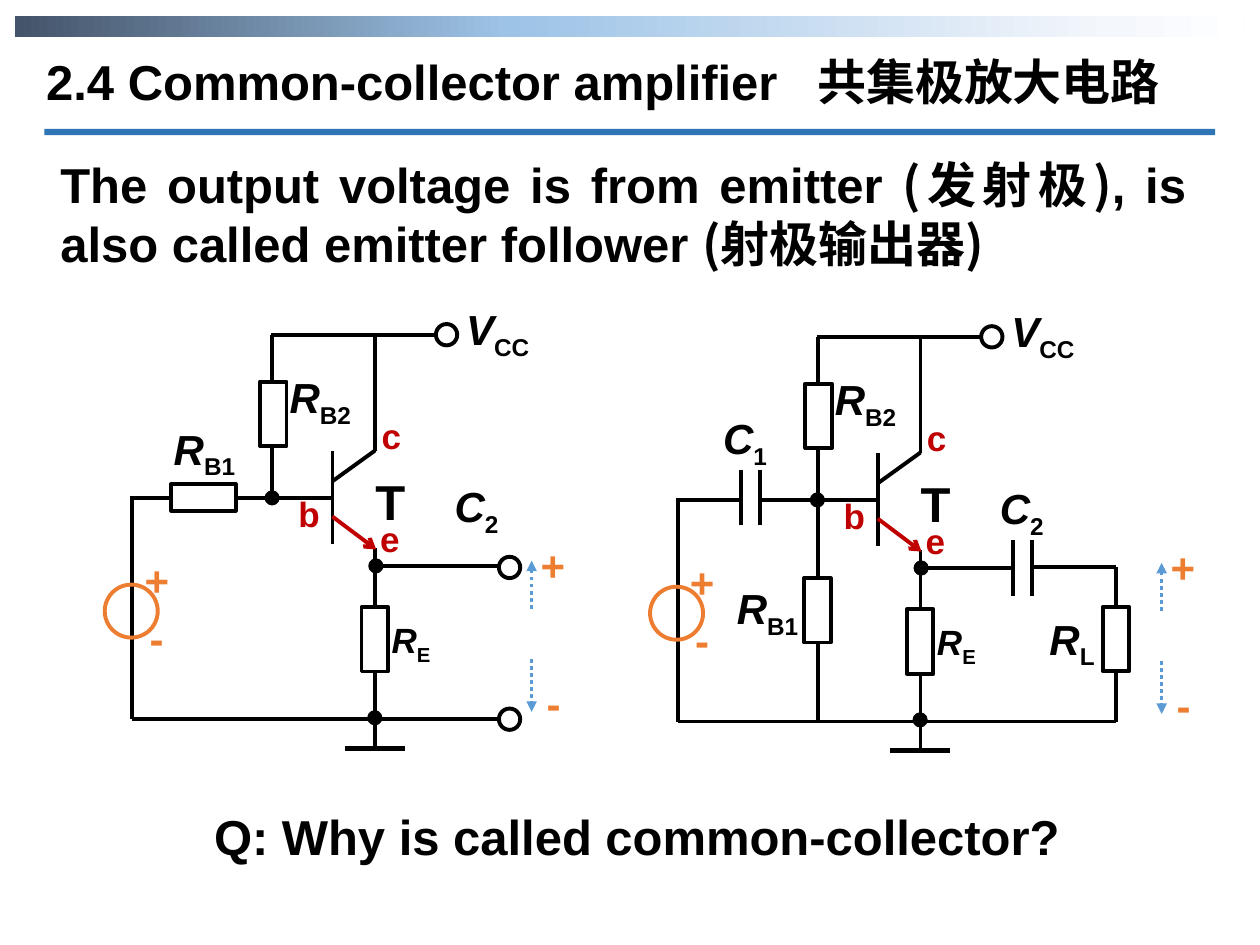
from dataclasses import dataclass

from lxml.etree import SubElement
from pptx import Presentation
from pptx.dml.color import RGBColor
from pptx.enum.dml import MSO_LINE
from pptx.enum.shapes import MSO_CONNECTOR, MSO_SHAPE
from pptx.enum.text import MSO_ANCHOR, MSO_AUTO_SIZE, PP_ALIGN
from pptx.oxml.ns import qn
from pptx.util import Pt


@dataclass(frozen=True)
class Theme:
    latin: str = "Arial"
    cjk: str = "Noto Sans CJK SC"
    ink: str = "000000"
    paper: str = "FFFFFF"
    rule: str = "2E75B6"
    pin: str = "C00000"
    source: str = "ED7D31"
    voltage: str = "5B9BD5"
    banner: tuple = ((0, "44546A"), (40, "9DC3E6"), (89, "F4F7FC"), (100, "FFFFFF"))
    heading: float = 28
    label: float = 24
    small: float = 20
    wire: float = 2.25


T = Theme()


def rgb(value):
    return RGBColor.from_string(value)


def add_box(shapes, kind, x, y, w, h, fill=None, line=None):
    s = shapes.add_shape(kind, Pt(x), Pt(y), Pt(w), Pt(h))
    s.shadow.inherit = False
    if fill:
        s.fill.solid()
        s.fill.fore_color.rgb = rgb(fill)
    else:
        s.fill.background()
    if line:
        s.line.color.rgb = rgb(line)
        s.line.width = Pt(T.wire)
    else:
        s.line.fill.background()
    return s


def add_line(shapes, x1, y1, x2, y2, color=T.ink, width=T.wire, arrow=None, dash=None):
    c = shapes.add_connector(MSO_CONNECTOR.STRAIGHT, Pt(x1), Pt(y1), Pt(x2), Pt(y2))
    c.line.color.rgb = rgb(color)
    c.line.width = Pt(width)
    if dash:
        c.line.dash_style = dash
    if arrow:
        SubElement(c.line._get_or_add_ln(), qn("a:tailEnd"), type=arrow)
    SubElement(c._element.spPr, qn("a:effectLst"))


def format_font(font, size, color=T.ink):
    font.name = T.latin
    font.size = Pt(size)
    font.bold = True
    font.color.rgb = rgb(color)


def use_cjk(run):
    run.font.name = T.cjk
    SubElement(run._r.get_or_add_rPr(), qn("a:ea"), typeface=T.cjk)


def add_text(shapes, x, y, w, h, size, color=T.ink, align=PP_ALIGN.LEFT):
    tf = shapes.add_textbox(Pt(x), Pt(y), Pt(w), Pt(h)).text_frame
    tf.word_wrap = True
    tf.auto_size = MSO_AUTO_SIZE.SHAPE_TO_FIT_TEXT
    p = tf.paragraphs[0]
    p.alignment = align
    format_font(p.font, size, color)
    return p


def add_mark(shapes, text, x, y, size=T.label, color=T.ink, w=34):
    p = add_text(shapes, x, y, w, size * 1.2 + 7.2, size, color)
    p.add_run().text = text


def add_symbol(shapes, name, sub, x, y, size=T.label, w=57):
    p = add_text(shapes, x, y, w, size * 1.2 + 13.6, size)
    r = p.add_run()
    r.text = name
    r.font.italic = True
    r = p.add_run()
    r.text = sub
    r.font._element.set("baseline", "-25000")


def add_resistor(shapes, cx, cy, w=15.2, h=36.8):
    add_box(shapes, MSO_SHAPE.RECTANGLE, cx - w / 2, cy - h / 2, w, h, T.paper, T.ink)


def add_capacitor(shapes, x, cy, gap=10.8, half=15.8):
    for plate in (x, x + gap):
        add_line(shapes, plate, cy - half, plate, cy + half)


def add_circle(shapes, cx, cy, d, fill=None, line=T.ink):
    add_box(shapes, MSO_SHAPE.OVAL, cx - d / 2, cy - d / 2, d, d, fill, line)


def add_output_voltage(shapes, x, y):
    for start, end in ((177.8, 150.4), (206.6, 236.8)):
        add_line(shapes, x, y + start, x, y + end, T.voltage, 2, "triangle", MSO_LINE.ROUND_DOT)
    add_mark(shapes, "+", x - 2, y + 134.6, color=T.source, w=46)
    add_mark(shapes, "-", x + 1.5, y + 213.8, color=T.source, w=30)


def add_amplifier(shapes, x, y):
    wires = (
        (130, 87.8, 130, 141), (130, 105, 154.4, 87.4), (154.4, 87.8, 154.4, 21.3),
        (154.4, 143.2, 154.4, 257.7), (95.7, 114.5, 95.7, 21.3), (95, 21.3, 190, 21.3),
        (95.7, 114.5, 130, 114.5), (15.6, 113.5, 15.6, 241.1),
    )
    for x1, y1, x2, y2 in wires:
        add_line(shapes, x + x1, y + y1, x + x2, y + y2)
    add_line(shapes, x + 130, y + 125.2, x + 155, y + 144, T.pin, arrow="arrow")
    add_line(shapes, x + 137, y + 257.7, x + 171.4, y + 257.7, width=3)
    for cx, cy in ((96.2, 66.5), (154.2, 195.4)):
        add_resistor(shapes, x + cx, y + cy)
    add_circle(shapes, x + 15, y + 179.2, 30.3, line=T.source)
    add_circle(shapes, x + 195.2, y + 21.3, 12.2, T.paper)
    for cx, cy in ((154.8, 153.4), (154.2, 240.2), (95.5, 114.5)):
        add_circle(shapes, x + cx, y + cy, 6.4, T.ink)
    add_symbol(shapes, "V", "CC", x + 199.2, y)
    add_symbol(shapes, "R", "B2", x + 98.4, y + 38.8, w=55)
    add_symbol(shapes, "R", "E", x + 156.7, y + 179.9, T.small)
    add_symbol(shapes, "C", "2", x + 192.7, y + 101.2, w=45)
    add_mark(shapes, "T", x + 147.4, y + 95.7, T.heading, w=38)
    for pin, px, py in (("b", 103.4, 107.9), ("e", 150.2, 122.3), ("c", 151, 63.3)):
        add_mark(shapes, pin, x + px, y + py, T.small, T.pin)
    add_mark(shapes, "+", x + 15.6, y + 143.2, color=T.source, w=30)
    add_mark(shapes, "-", x + 18.5, y + 176.3, color=T.source, w=30)


def add_open_circuit(slide, x, y):
    shapes = slide.shapes.add_group_shape().shapes
    add_line(shapes, x + 15.6, y + 114.5, x + 95.7, y + 114.5)
    add_line(shapes, x + 15.6, y + 241.1, x + 231.2, y + 241.1)
    add_line(shapes, x + 154.4, y + 153.4, x + 231.2, y + 153.4)
    add_amplifier(shapes, x, y)
    add_resistor(shapes, x + 56.3, y + 114.2, 36.8, 15.2)
    add_symbol(shapes, "R", "B1", x + 32.2, y + 68.3, w=55)
    for cy in (154.3, 241):
        add_circle(shapes, x + 231.2, y + cy, 12.2, T.paper)
    add_output_voltage(shapes, x + 243.8, y)


def add_loaded_circuit(slide, x, y):
    shapes = slide.shapes.add_group_shape().shapes
    wires = (
        (15.6, 114.5, 51.8, 114.5), (62.6, 114.5, 95.7, 114.5), (95.7, 114.5, 95.7, 241.1),
        (15.6, 241.1, 266.3, 241.1), (154.4, 153.4, 207.3, 153.4),
        (218.1, 152.8, 266.3, 152.8), (266.3, 152.8, 266.3, 241.1),
    )
    for x1, y1, x2, y2 in wires:
        add_line(shapes, x + x1, y + y1, x + x2, y + y2)
    add_amplifier(shapes, x, y)
    add_capacitor(shapes, x + 51.8, y + 113)
    add_capacitor(shapes, x + 207.3, y + 153.3)
    add_resistor(shapes, x + 95.5, y + 177.6)
    add_resistor(shapes, x + 266.1, y + 194)
    add_symbol(shapes, "C", "1", x + 34.5, y + 61.2, w=45)
    add_symbol(shapes, "R", "B1", x + 42.4, y + 158.4, w=55)
    add_symbol(shapes, "R", "L", x + 221, y + 175.6)
    add_output_voltage(shapes, x + 292.2, y)


def add_header(slide, x, y):
    banner = add_box(slide.shapes, MSO_SHAPE.RECTANGLE, x, y, 702.7, 11.5)
    banner.fill.gradient()
    banner.fill.gradient_angle = 0
    stops = banner._element.spPr.find(qn("a:gradFill")).find(qn("a:gsLst"))
    stops.clear()
    for pos, color in T.banner:
        gs = SubElement(stops, qn("a:gs"), pos=str(pos * 1000))
        SubElement(gs, qn("a:srgbClr"), val=color)
    add_box(slide.shapes, MSO_SHAPE.RECTANGLE, x + 16.8, y + 64.2, 669, 3.6, T.rule)

    title = slide.shapes.title
    title.left, title.top, title.width, title.height = Pt(x + 8.6), Pt(y + 16.6), Pt(436.3), Pt(41)
    tf = title.text_frame
    tf.text = "2.4 Common-collector amplifier"
    tf.vertical_anchor = MSO_ANCHOR.TOP
    tf.auto_size = MSO_AUTO_SIZE.SHAPE_TO_FIT_TEXT
    p = tf.paragraphs[0]
    p.alignment = PP_ALIGN.CENTER
    format_font(p.font, T.heading)

    p = add_text(slide.shapes, x + 448.6, y + 16.6, 215.3, 41, T.heading, align=PP_ALIGN.CENTER)
    r = p.add_run()
    r.text = "共集极放大电路"
    use_cjk(r)


def add_statement(slide, x, y):
    p = add_text(slide.shapes, x, y, 657.4, 74.9, T.heading, align=PP_ALIGN.JUSTIFY)
    parts = (
        ("The output voltage is from emitter ", False), ("(发射极)", True),
        (", is also called emitter follower ", False), ("(射极输出器)", True),
    )
    for text, cjk in parts:
        r = p.add_run()
        r.text = text
        if cjk:
            use_cjk(r)


def add_question(slide, x, y):
    p = add_text(slide.shapes, x, y, 512.6, 41, T.heading, align=PP_ALIGN.JUSTIFY)
    p.add_run().text = "Q: Why is called common-collector?"


def main():
    prs = Presentation()
    prs.slide_width, prs.slide_height = Pt(720), Pt(540)
    s = prs.slides.add_slide(prs.slide_layouts[5])
    add_header(s, 8.6, 9.4)
    add_statement(s, 27.4, 85)
    add_loaded_circuit(s, 371.6, 171.2)
    add_open_circuit(s, 60, 170)
    add_question(s, 115.2, 457.2)
    prs.save("out.pptx")


if __name__ == "__main__":
    main()
